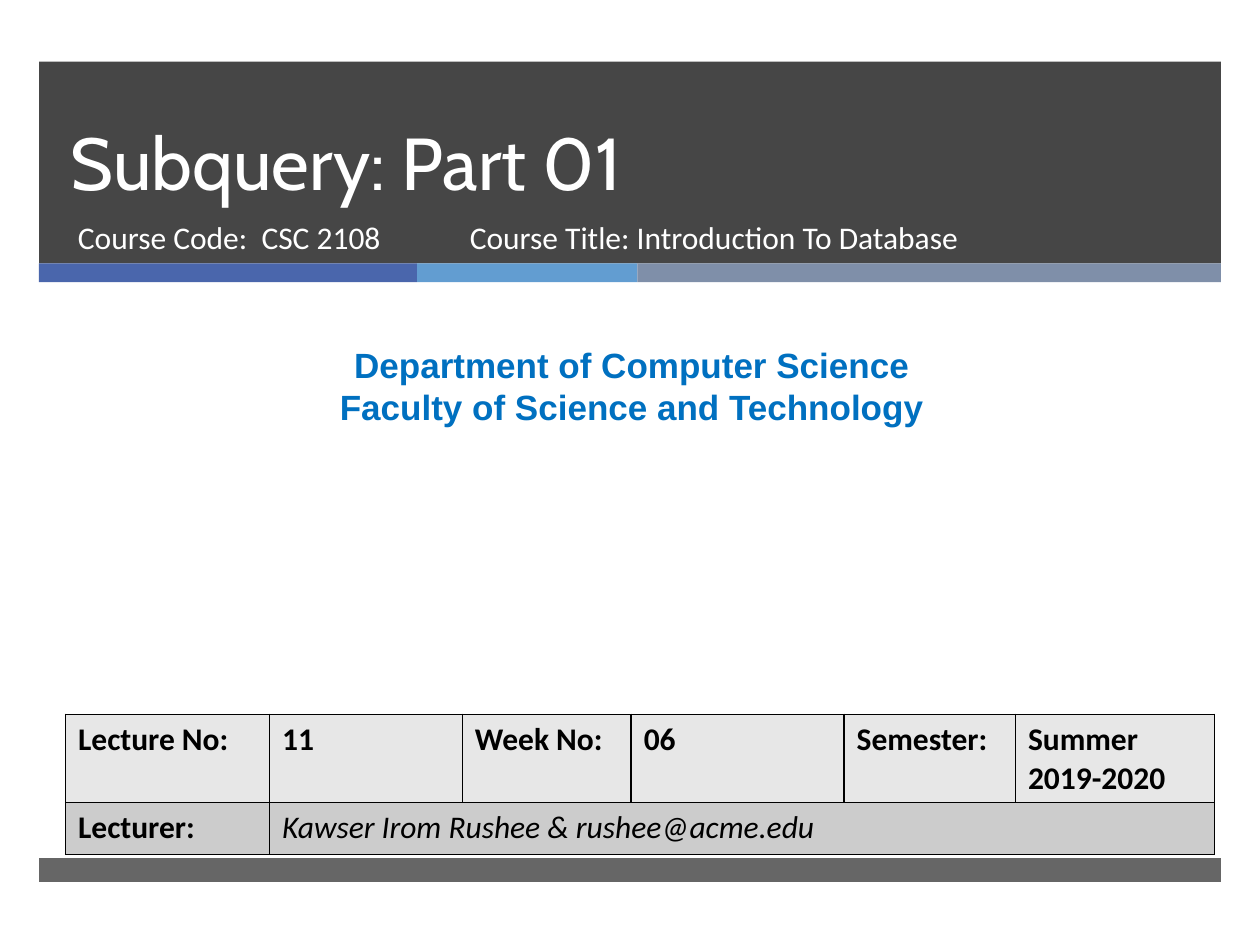
import pptx
import pptx.util
import pptx.dml.color
import pptx.enum.shapes
import pptx.enum.text
import pptx.oxml
import pptx.oxml.ns
import lxml.etree

Inches = pptx.util.Inches
Pt = pptx.util.Pt
RGBColor = pptx.dml.color.RGBColor
Anchor = pptx.enum.text.MSO_ANCHOR
Align = pptx.enum.text.PP_ALIGN
qn = pptx.oxml.ns.qn

COLORS = {
    "dark": "262626",
    "indigo": "4A66AC",
    "sky": "629DD1",
    "slate": "7F8FA9",
    "white": "FFFFFF",
    "black": "000000",
    "heading": "0070C0",
    "light_row": "E7E7E7",
    "dark_row": "CCCCCC",
}


def write_text(frame, text, size=18, font="Calibri", color="white", bold=False,
               italic=False, align=Align.LEFT, anchor=Anchor.TOP, spacing=None):
    frame.word_wrap = True
    frame.vertical_anchor = anchor
    frame.text = text
    for paragraph in frame.paragraphs:
        paragraph.alignment = align
        paragraph.space_before = Pt(0)
        paragraph.line_spacing = spacing
        for run in paragraph.runs:
            run.font.size = Pt(size)
            run.font.name = font
            run.font.bold = bold
            run.font.italic = italic
            run.font.color.rgb = RGBColor.from_string(COLORS[color])


def set_borders(cell):
    properties = cell._tc.get_or_add_tcPr()
    for index, side in enumerate(("lnL", "lnR", "lnT", "lnB")):
        line = lxml.etree.Element(qn("a:" + side), w=str(Pt(1)))
        fill = lxml.etree.SubElement(line, qn("a:solidFill"))
        lxml.etree.SubElement(fill, qn("a:srgbClr"), val=COLORS["black"])
        properties.insert(index, line)


presentation = pptx.Presentation()
presentation.slide_width = Inches(10)
presentation.slide_height = Inches(7.5)
slide = presentation.slides.add_slide(presentation.slide_layouts[5])
shapes = slide.shapes

MARGIN = 0.31
BAND_WIDTH = 10 - 2 * MARGIN
STRIPE_TOP = 2.09

bands = [(MARGIN, 0.49, BAND_WIDTH, 1.6, "dark", 85)]
stripe_left = MARGIN
for width, color in ((3, "indigo"), (1.75, "sky"), (4.63, "slate")):
    bands.append((stripe_left, STRIPE_TOP, width, 0.15, color, 100))
    stripe_left += width
bands.append((MARGIN, 6.81, BAND_WIDTH, 0.19, "dark", 70))

for left, top, width, height, color, opacity in bands:
    band = shapes.add_shape(pptx.enum.shapes.MSO_SHAPE.RECTANGLE, Inches(left),
                            Inches(top), Inches(width), Inches(height))
    band.shadow.inherit = False
    band.line.fill.background()
    band.fill.solid()
    band.fill.fore_color.rgb = RGBColor.from_string(COLORS[color])
    if opacity < 100:
        fill_color = band._element.spPr.find(".//" + qn("a:srgbClr"))
        lxml.etree.SubElement(fill_color, qn("a:alpha"), val=str(opacity * 1000))

title = shapes.title
title.left, title.top = Inches(0.46), Inches(0.49)
title.width, title.height = Inches(8.54), Inches(1.19)
write_text(title.text_frame, "Subquery: Part 01", size=42, font="Cabin",
           anchor=Anchor.BOTTOM, spacing=Pt(46))
shapes._spTree.append(title._element)

heading = dict(size=20, font="Arial", color="heading", bold=True, align=Align.CENTER)
for left, top, width, height, text, style in (
    (0.52, 1.68, 3.05, 0.53, "Course Code:  CSC 2108", {}),
    (3.63, 1.68, 4.55, 0.53, "Course Title: Introduction To Database", {}),
    (0.08, 2.68, 9.87, 0.77,
     "Department of Computer Science\nFaculty of Science and Technology", heading),
):
    box = shapes.add_textbox(Inches(left), Inches(top), Inches(width), Inches(height))
    write_text(box.text_frame, text, **style)

column_widths = [1.62, 1.53, 1.34, 1.69, 1.36, 1.58]
row_heights = [0.7, 0.41]
rows = [
    ["Lecture No:", "11", "Week No:", "06", "Semester:", "Summer 2019-2020"],
    ["Lecturer:", "Kawser Irom Rushee & rushee@acme.edu", "", "", "", ""],
]
table = shapes.add_table(2, 6, Inches(0.52), Inches(5.67), Inches(sum(column_widths)),
                         Inches(sum(row_heights))).table
for column, width in zip(table.columns, column_widths):
    column.width = Inches(width)
for row_index, (texts, row_color) in enumerate(zip(rows, ("light_row", "dark_row"))):
    table.rows[row_index].height = Inches(row_heights[row_index])
    for column_index, text in enumerate(texts):
        cell = table.cell(row_index, column_index)
        lecturer = row_index == 1 and column_index == 1
        write_text(cell.text_frame, text, color="black", bold=not lecturer, italic=lecturer)
        cell.fill.solid()
        cell.fill.fore_color.rgb = RGBColor.from_string(COLORS[row_color])
        set_borders(cell)
table.cell(1, 1).merge(table.cell(1, 5))

presentation.save("out.pptx")
